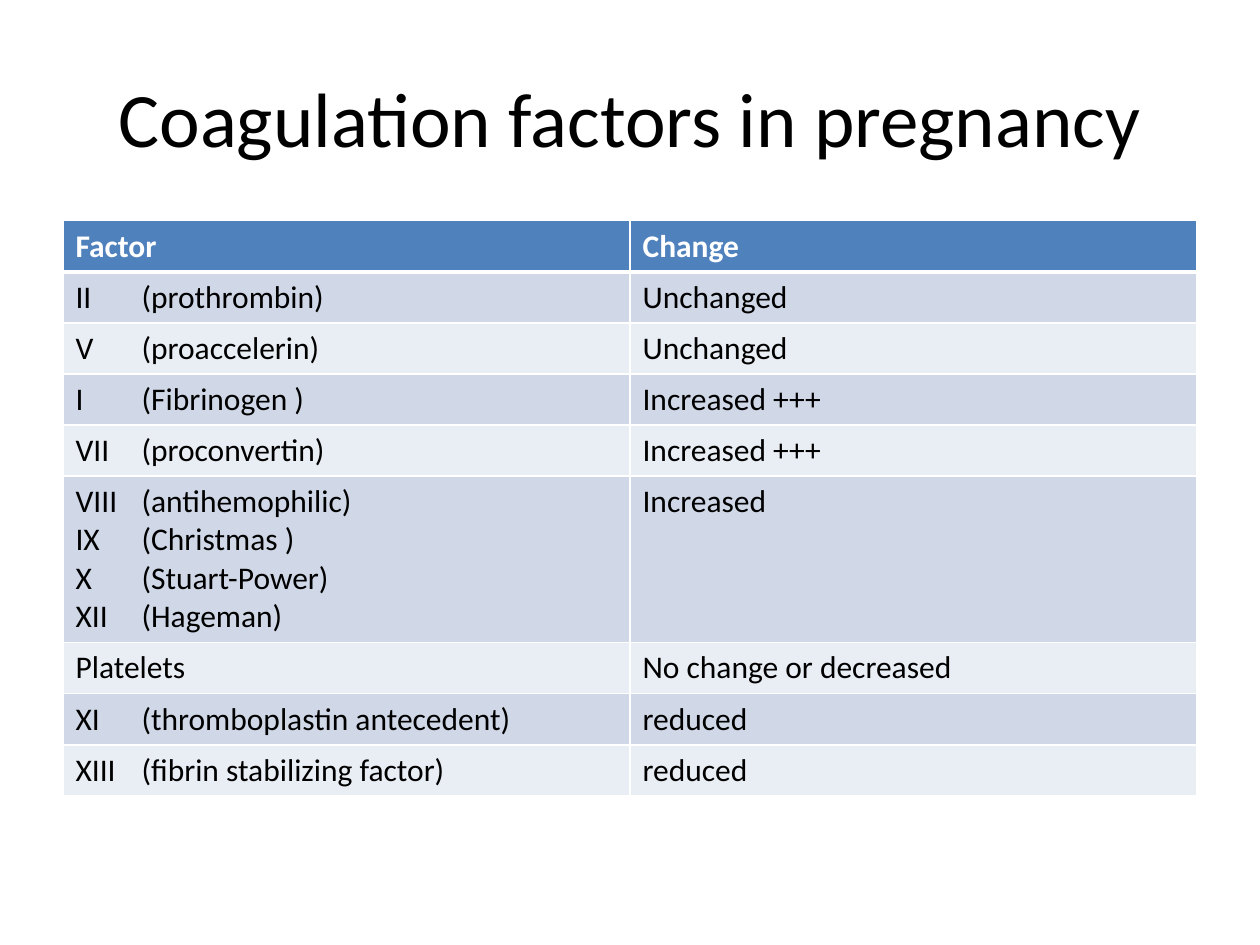
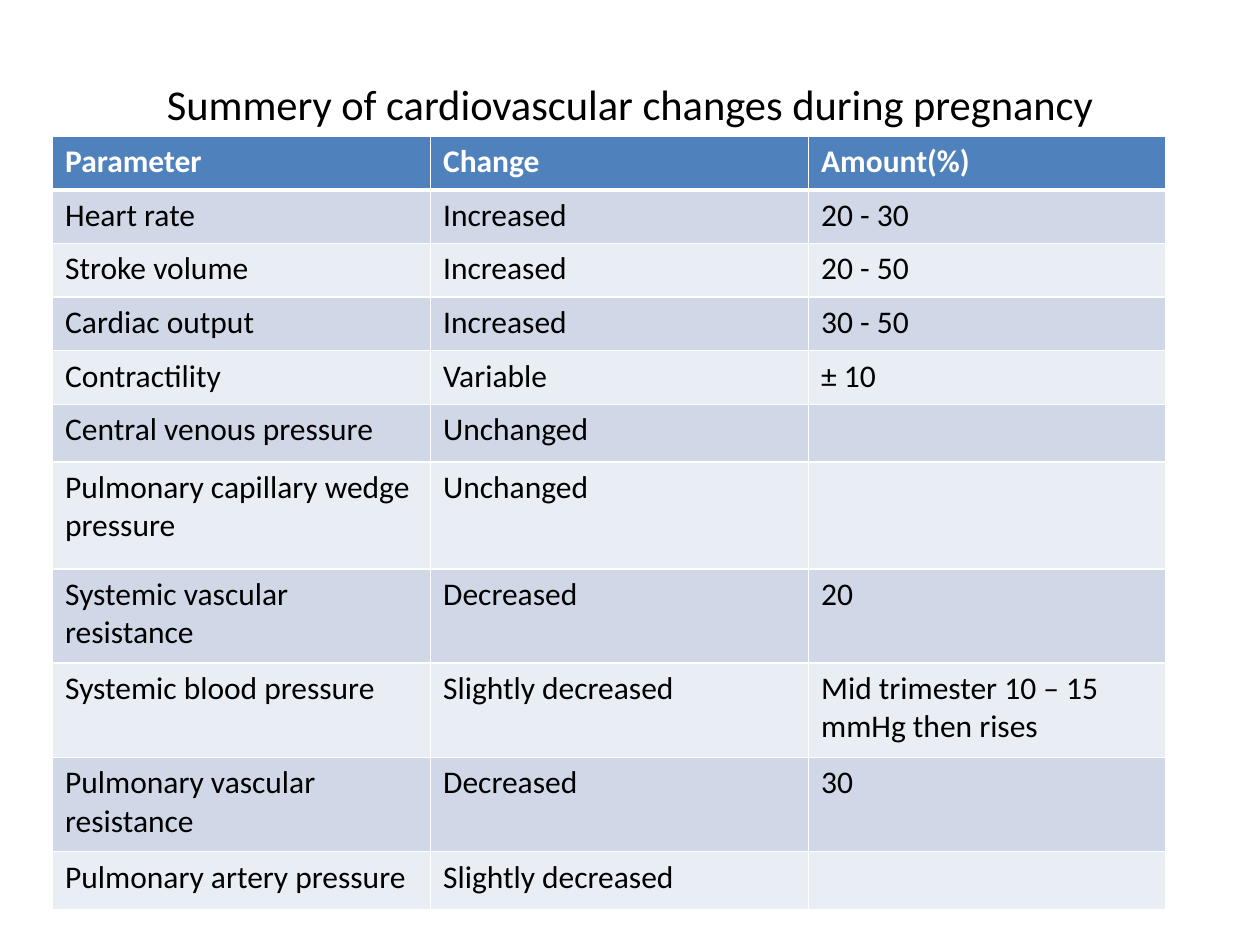
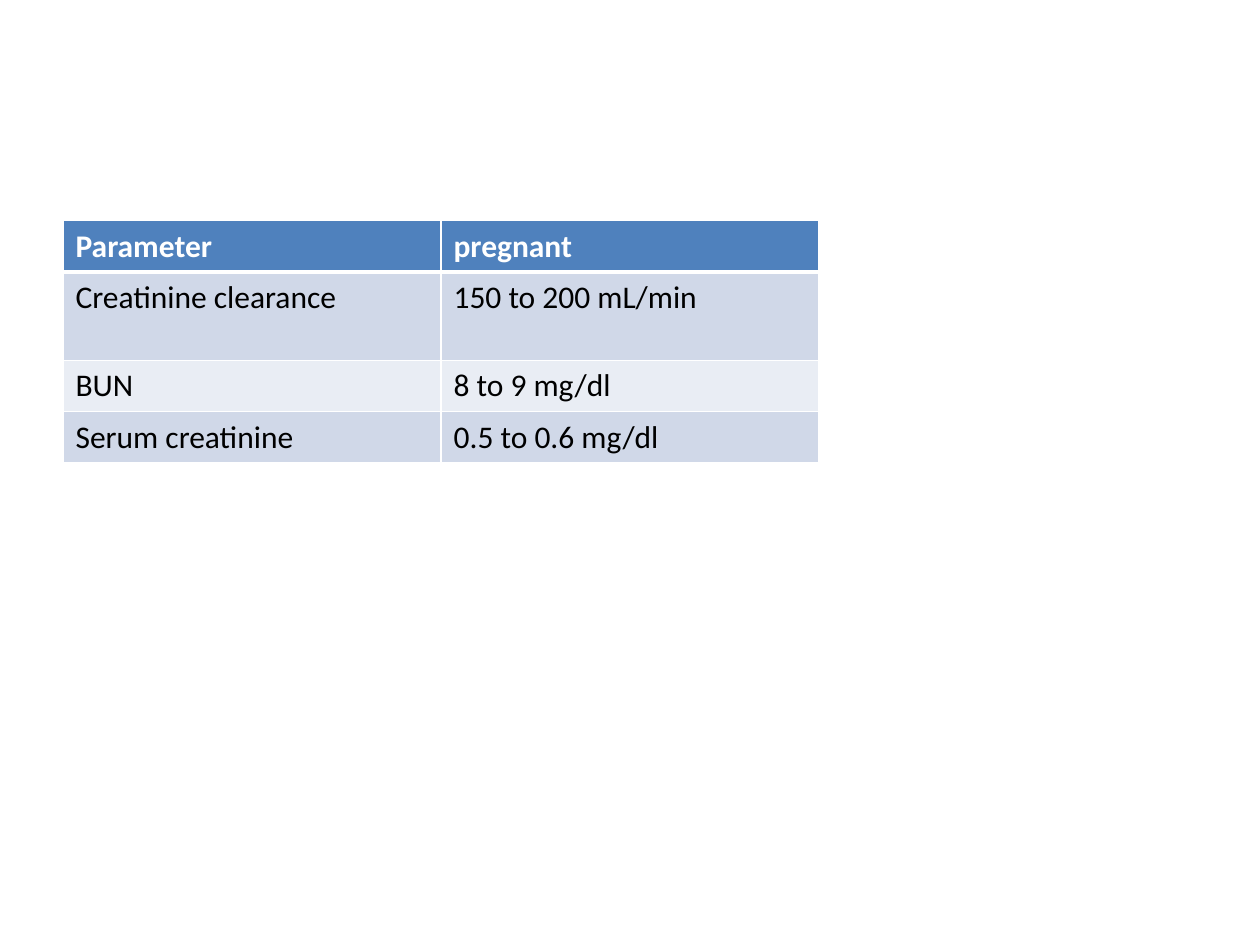
from lxml import etree
from pptx import Presentation
from pptx.dml.color import RGBColor
from pptx.enum.text import MSO_ANCHOR, MSO_AUTO_SIZE, PP_ALIGN
from pptx.oxml.ns import qn
from pptx.util import Cm, Pt

CENTER = PP_ALIGN.CENTER
MIDDLE, BOTTOM = MSO_ANCHOR.MIDDLE, MSO_ANCHOR.BOTTOM
NO_AUTOFIT = MSO_AUTO_SIZE.NONE
TITLE_ONLY, BLANK = 5, 6

COLORS = {
    "text": "000000",
    "header_text": "FFFFFF",
    "header": "4F81BD",
    "band_dark": "D0D8E8",
    "band_light": "E9EDF4",
    "border": "FFFFFF",
}
FONT = "Calibri"
ROW_HEIGHT = 1.03  # cm
NAME_TAB = 1.33  # cm, where the factor names start


class Deck:
    """Holds the shared style and the current slide."""

    def __init__(self):
        self.prs = Presentation()
        self.prs.slide_width, self.prs.slide_height = Cm(25.4), Cm(19.05)
        self.slide = None

    def add_slide(self, layout):
        self.slide = self.prs.slides.add_slide(self.prs.slide_layouts[layout])

    def style(self, paragraph, size, color, bold=False):
        font = paragraph.font
        font.name, font.size, font.bold = FONT, Pt(size), bold
        font.color.rgb = RGBColor.from_string(COLORS[color])

    def title(self, text, height, size, anchor=MIDDLE):
        title = self.slide.shapes.title
        title.left, title.top = Cm(1.27), Cm(0.76)
        title.width, title.height = Cm(22.86), Cm(height)
        frame = title.text_frame
        frame.text = text
        frame.word_wrap, frame.auto_size = True, NO_AUTOFIT
        frame.vertical_anchor = anchor
        frame.margin_top = frame.margin_bottom = 0
        frame.paragraphs[0].alignment = CENTER
        self.style(frame.paragraphs[0], size, "text")

    def tab_stop(self, paragraph):
        tabs = etree.SubElement(paragraph._p.get_or_add_pPr(), qn("a:tabLst"))
        etree.SubElement(tabs, qn("a:tab"), pos=str(Cm(NAME_TAB)), algn="l")

    def borders(self, cell, top, bottom):
        props = cell._tc.get_or_add_tcPr()
        widths = {"a:lnL": 1, "a:lnR": 1, "a:lnT": top, "a:lnB": bottom}
        for index, (side, width) in enumerate(widths.items()):
            line = etree.Element(qn(side), w=str(Pt(width)))
            fill = etree.SubElement(line, qn("a:solidFill"))
            etree.SubElement(fill, qn("a:srgbClr"), val=COLORS["border"])
            props.insert(index, line)

    def cell(self, cell, text, row):
        if row == 0:
            fill, color = "header", "header_text"
        else:
            fill, color = ("band_dark" if row % 2 else "band_light"), "text"
        cell.fill.solid()
        cell.fill.fore_color.rgb = RGBColor.from_string(COLORS[fill])
        self.borders(cell, 3 if row == 1 else 1, 3 if row == 0 else 1)
        cell.text = text
        for paragraph in cell.text_frame.paragraphs:
            if "\t" in text:
                self.tab_stop(paragraph)
            self.style(paragraph, 18, color, bold=row == 0)

    def table(self, rows, left, top, widths, heights):
        table = self.slide.shapes.add_table(
            len(rows), len(widths), Cm(left), Cm(top),
            Cm(sum(widths)), Cm(sum(heights))).table
        table.horz_banding = False
        for column, width in zip(table.columns, widths):
            column.width = Cm(width)
        for index, (row, height) in enumerate(zip(rows, heights)):
            table.rows[index].height = Cm(height)
            for column, text in enumerate(row):
                self.cell(table.cell(index, column), text, index)


def main():
    deck = Deck()

    # Coagulation factors
    deck.add_slide(TITLE_ONLY)
    deck.title("Coagulation factors in pregnancy", 3.18, 44)
    factors = [
        ("Factor", "Change"),
        ("II\t(prothrombin)", "Unchanged"),
        ("V\t(proaccelerin)", "Unchanged"),
        ("I\t(Fibrinogen )", "Increased +++"),
        ("VII\t(proconvertin)", "Increased +++"),
        ("VIII\t(antihemophilic)\nIX\t(Christmas )\n"
         "X\t(Stuart-Power)\nXII\t(Hageman)", "Increased"),
        ("Platelets", "No change or decreased"),
        ("XI\t(thromboplastin antecedent)", "reduced"),
        ("XIII\t(fibrin stabilizing factor)", "reduced"),
    ]
    deck.table(factors, 1.27, 4.45, [11.43] * 2,
               [ROW_HEIGHT] * 5 + [3.33] + [ROW_HEIGHT] * 3)

    # Cardiovascular changes
    deck.add_slide(TITLE_ONLY)
    deck.title("Summery of cardiovascular changes during pregnancy",
               1.85, 24.3, BOTTOM)
    cardiovascular = [
        ("Parameter", "Change", "Amount(%)"),
        ("Heart rate", "Increased", "20 - 30"),
        ("Stroke volume", "Increased", "20 - 50"),
        ("Cardiac output", "Increased", "30 - 50"),
        ("Contractility", "Variable", "± 10"),
        ("Central venous pressure", "Unchanged", ""),
        ("Pulmonary capillary wedge pressure", "Unchanged", ""),
        ("Systemic vascular resistance", "Decreased", "20"),
        ("Systemic blood pressure", "Slightly decreased",
         "Mid trimester 10 – 15 mmHg then rises"),
        ("Pulmonary vascular resistance", "Decreased", "30"),
        ("Pulmonary artery pressure", "Slightly decreased", ""),
    ]
    deck.table(cardiovascular, 1.06, 2.75, [7.62, 7.62, 7.19],
               [1.08] * 5 + [1.16, 2.16] + [1.9] * 3 + [1.16])

    # Renal function
    deck.add_slide(BLANK)
    renal = [
        ("Parameter", "pregnant"),
        ("Creatinine clearance", "150 to 200 mL/min"),
        ("BUN", "8 to 9 mg/dl"),
        ("Serum creatinine", "0.5 to 0.6 mg/dl"),
    ]
    deck.table(renal, 1.27, 4.45, [7.62] * 2,
               [ROW_HEIGHT, 1.79] + [ROW_HEIGHT] * 2)

    deck.prs.save("out.pptx")


if __name__ == "__main__":
    main()
